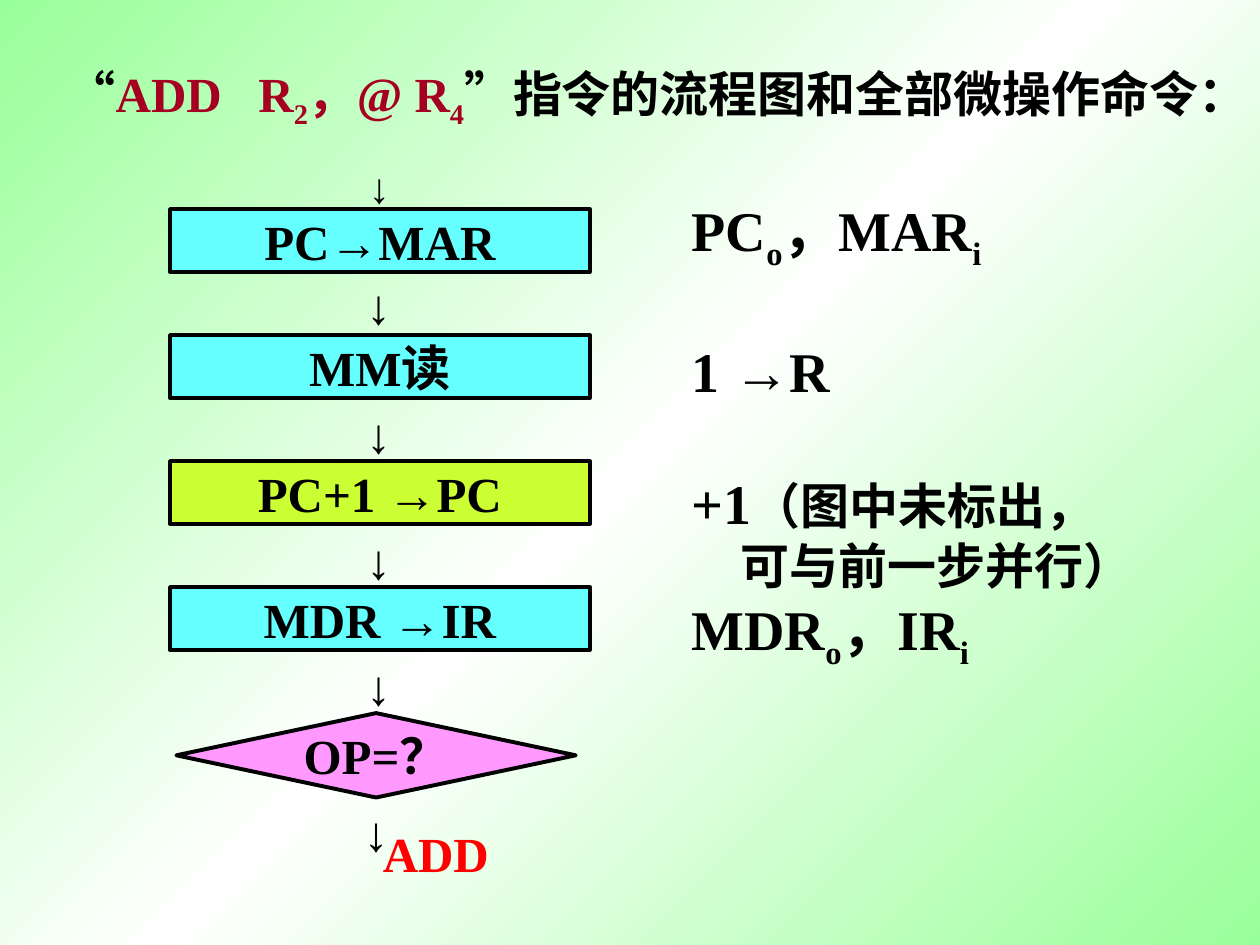
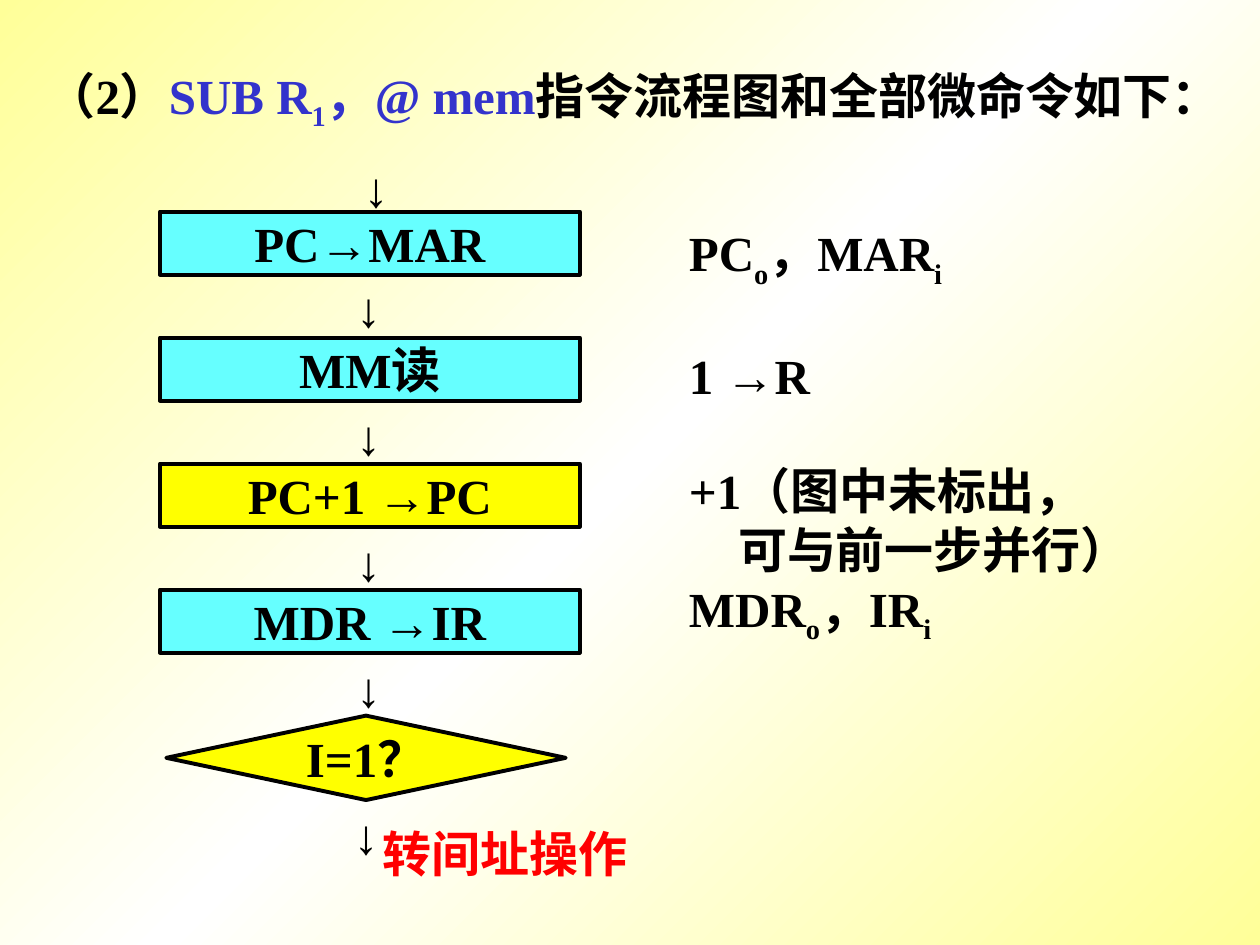
"""Build two slides that pair an instruction flowchart with its micro-operation commands."""
from copy import deepcopy

from pptx import Presentation
from pptx.dml.color import RGBColor
from pptx.enum.lang import MSO_LANGUAGE_ID
from pptx.enum.shapes import MSO_SHAPE
from pptx.enum.text import MSO_ANCHOR, MSO_AUTO_SIZE, PP_ALIGN
from pptx.oxml.ns import qn
from pptx.util import Inches, Pt

COLORS = {
    "black": "000000", "white": "FFFFFF", "red": "FF0000", "crimson": "A50021",
    "blue": "3333CC", "cyan": "66FFFF", "lime": "CCFF33", "pink": "FF99FF",
    "yellow": "FFFF00", "pale green": "99FF99", "pale yellow": "FFFF99",
}
TEXT_FONT, ARROW_FONT = "Times New Roman", "Arial"
TEXT_SIZE = 28
STEP_PITCH = 1.0
STEP_WIDTH, STEP_HEIGHT = 3.33, 0.5
DECISION_WIDTH, DECISION_HEIGHT = 3.17, 0.67
ARROW_WIDTH, ARROW_HEIGHT = 0.35, 0.57
ARROW_OFFSETS = [0.48, 1.5, 2.5, 3.5]

STEPS = [
    [("PC",), ("→",), ("MAR",)],
    [("MM读",)],
    [("PC+1 ",), ("→",), ("PC",)],
    [("MDR ",), ("→",), ("IR",)],
]
INCREMENT_STEP = 2

SLIDES = [
    {
        "background": "pale green",
        "title": [("“",), ("ADD", "crimson"), (" ", "crimson", "gap"), ("R", "crimson"),
                  ("2", "crimson", "sub"), ("，@ R", "crimson"), ("4", "crimson", "sub"),
                  ("”指令的流程图和全部微操作命令：",)],
        "title box": (0.43, 0.44, 9.37, 0.66),
        "flow origin": (1.35, 1.66),
        "entry arrow": (2.83, 1.23, 24),
        "increment fill": "lime",
        "decision": ("OP=？", "pink"),
        "branch": ("ADD", 1.04),
        "commands origin": (5.39, 1.5),
        "command size": 32,
    },
    {
        "background": "pale yellow",
        "title": [("（2）",), ("SUB R", "blue"), ("1", "blue", "sub"), ("，@ mem", "blue"),
                  ("指令流程图和全部微命令如下：",)],
        "title box": (0.27, 0.42, 9.73, 0.73),
        "flow origin": (1.27, 1.68),
        "entry arrow": (2.79, 1.21, 28),
        "increment fill": "yellow",
        "decision": ("I=1？", "yellow"),
        "branch": ("转间址操作", 2.14),
        "commands origin": (5.37, 1.72),
        "command size": 28,
    },
]


def rgb(name):
    return RGBColor.from_string(COLORS[name])


def add_runs(paragraph, pieces, size=TEXT_SIZE):
    for text, color, role in ((*piece, "black", "")[:3] if len(piece) == 1
                              else (*piece, "")[:3] for piece in pieces):
        run = paragraph.add_run()
        run.text = text
        run.font.name = ARROW_FONT if text in "→↓" else TEXT_FONT
        run.font.size = Pt(TEXT_SIZE if role == "note" else size)
        run.font.bold = True
        run.font.color.rgb = rgb(color)
        run.font.language_id = MSO_LANGUAGE_ID.SIMPLIFIED_CHINESE
        properties = run.font._element
        if role == "sub":
            properties.set("baseline", "-25000")
        elif role == "gap":
            properties.set("spc", "1400")


def add_label(slide, box, pieces, size=TEXT_SIZE):
    label = slide.shapes.add_textbox(*map(Inches, box))
    label.text_frame.word_wrap = False
    add_runs(label.text_frame.paragraphs[0], pieces, size)


def add_flow_shape(slide, kind, box, pieces, fill):
    shape = slide.shapes.add_shape(kind, *map(Inches, box))
    shape.shadow.inherit = False
    shape.fill.solid()
    shape.fill.fore_color.rgb = rgb(fill)
    shape.line.color.rgb = rgb("black")
    shape.line.width = Pt(2.25)
    frame = shape.text_frame
    frame.word_wrap = False
    frame.vertical_anchor = MSO_ANCHOR.MIDDLE
    frame.paragraphs[0].alignment = PP_ALIGN.CENTER
    add_runs(frame.paragraphs[0], pieces)


def set_background(slide, edge):
    fill = slide.background.fill
    fill.gradient()
    fill.gradient_angle = 135
    stop_list = slide.background._cSld.find(".//" + qn("a:gsLst"))
    stop_list.append(deepcopy(stop_list[0]))
    for stop, position, color in zip(fill.gradient_stops, (0, 0.5, 1), (edge, "white", edge)):
        stop.position = position
        stop.color.rgb = rgb(color)


def set_title(slide, box, pieces):
    title = slide.shapes.title
    title.left, title.top, title.width, title.height = map(Inches, box)
    frame = title.text_frame
    frame.auto_size = MSO_AUTO_SIZE.NONE
    frame.word_wrap = True
    frame.vertical_anchor = MSO_ANCHOR.MIDDLE
    frame.paragraphs[0].alignment = PP_ALIGN.LEFT
    add_runs(frame.paragraphs[0], pieces)


def add_flowchart(slide, content):
    left, top = content["flow origin"]
    decision, decision_fill = content["decision"]
    branch, branch_width = content["branch"]
    entry_left, entry_top, entry_size = content["entry arrow"]
    for index, pieces in enumerate(STEPS):
        fill = content["increment fill"] if index == INCREMENT_STEP else "cyan"
        box = (left, top + index * STEP_PITCH, STEP_WIDTH, STEP_HEIGHT)
        add_flow_shape(slide, MSO_SHAPE.FLOWCHART_PROCESS, box, pieces, fill)
    decision_box = (left + 0.05, top + len(STEPS) * STEP_PITCH, DECISION_WIDTH, DECISION_HEIGHT)
    add_flow_shape(slide, MSO_SHAPE.FLOWCHART_DECISION, decision_box, [(decision,)], decision_fill)
    arrows = [(left + 1.46, top + offset, TEXT_SIZE) for offset in ARROW_OFFSETS]
    arrows += [(left + 1.44, top + 4.66, TEXT_SIZE), (entry_left, entry_top, entry_size)]
    for arrow_left, arrow_top, size in arrows:
        add_label(slide, (arrow_left, arrow_top, ARROW_WIDTH, ARROW_HEIGHT), [("↓",)], size)
    add_label(slide, (2.94, 6.49, branch_width, 0.57), [(branch, "red")])


def add_commands(slide, origin, size):
    gap = round(size * 1.15)
    commands = [
        ([("PC",), ("o", "black", "sub"), ("，MAR",), ("i", "black", "sub")], 0, 0),
        ([("1 ",), ("→",), ("R",)], gap, 0),
        ([("+1",), ("（图中未标出，", "black", "note")], gap, 0),
        ([("可与前一步并行）", "black", "note")], 0, 0.39),
        ([("MDR",), ("o", "black", "sub"), ("，IR",), ("i", "black", "sub")], 0, 0),
    ]
    textbox = slide.shapes.add_textbox(*map(Inches, (*origin, 3.8, 3.9)))
    frame = textbox.text_frame
    frame.word_wrap = True
    for index, (pieces, space_before, indent) in enumerate(commands):
        paragraph = frame.add_paragraph() if index else frame.paragraphs[0]
        if space_before:
            paragraph.space_before = Pt(space_before)
        if indent:
            paragraph._p.get_or_add_pPr().set("marL", str(Inches(indent)))
        add_runs(paragraph, pieces, size)


def main():
    presentation = Presentation()
    presentation.slide_width, presentation.slide_height = Inches(10), Inches(7.5)
    for content in SLIDES:
        slide = presentation.slides.add_slide(presentation.slide_layouts[5])
        set_background(slide, content["background"])
        set_title(slide, content["title box"], content["title"])
        add_flowchart(slide, content)
        add_commands(slide, content["commands origin"], content["command size"])
    presentation.save("out.pptx")


if __name__ == "__main__":
    main()
